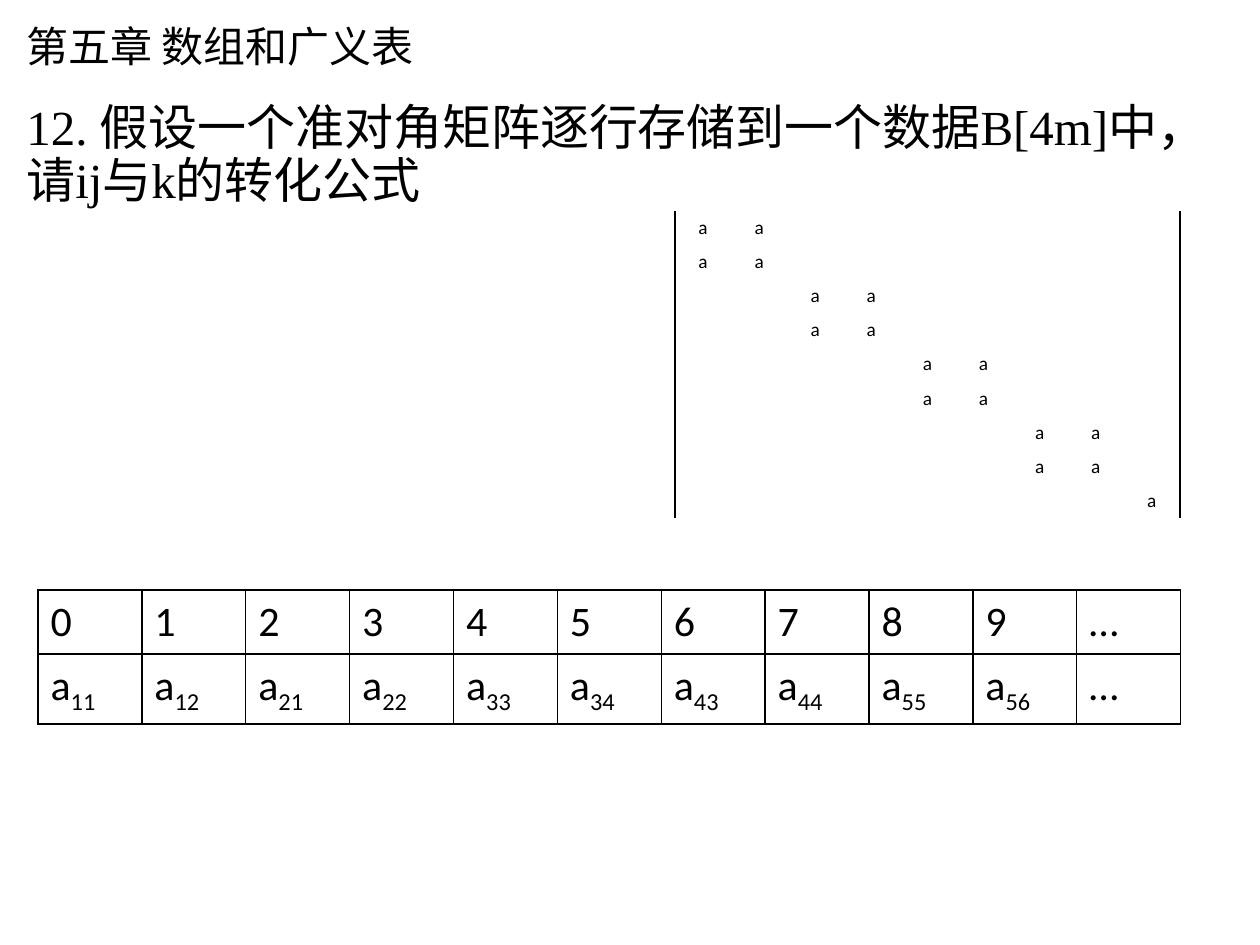
"""Build the slide on storing a block-diagonal matrix row by row in an array."""
import dataclasses

import lxml.etree
import pptx
import pptx.dml.color
import pptx.enum.text
import pptx.oxml.ns
import pptx.util


@dataclasses.dataclass(frozen=True)
class Theme:
    ink: pptx.dml.color.RGBColor = pptx.dml.color.RGBColor(0, 0, 0)
    heading_font: str = "Times New Roman"
    table_font: str = "Calibri"
    title_size: int = 24
    question_size: int = 28
    matrix_size: int = 11
    storage_size: int = 24
    line_width: int = 1


theme = Theme()
PX = 914400 // 126
qn = pptx.oxml.ns.qn


def add_run(paragraph, text, font, size, subscript=False):
    run = paragraph.add_run()
    run.text = text
    run.font.name = font
    run.font.size = pptx.util.Pt(size)
    run.font.color.rgb = theme.ink
    if subscript:
        run.font._element.set("baseline", "-25000")


def style_cell(cell, sides):
    cell.fill.background()
    properties = cell._tc.get_or_add_tcPr()
    for position, side in enumerate("LRTB"):
        border = lxml.etree.Element(qn(f"a:ln{side}"), w=str(pptx.util.Pt(theme.line_width)))
        if side in sides:
            fill = lxml.etree.SubElement(border, qn("a:solidFill"))
            lxml.etree.SubElement(fill, qn("a:srgbClr"), val=str(theme.ink))
        else:
            lxml.etree.SubElement(border, qn("a:noFill"))
        properties.insert(position, border)


deck = pptx.Presentation()
deck.slide_width = pptx.util.Inches(10)
deck.slide_height = pptx.util.Inches(7.5)
slide = deck.slides.add_slide(deck.slide_layouts[5])

title = slide.shapes.title
title.left, title.top, title.width, title.height = [v * PX for v in (14, -43, 1086, 183)]
question = slide.shapes.add_textbox(14 * PX, 97 * PX, 1223 * PX, 816 * PX)

for holder, text, size, anchor in (
    (title, "第五章 数组和广义表", theme.title_size, pptx.enum.text.MSO_ANCHOR.MIDDLE),
    (question, "12. 假设一个准对角矩阵逐行存储到一个数据B[4m]中，请ij与k的转化公式",
     theme.question_size, pptx.enum.text.MSO_ANCHOR.TOP),
):
    frame = holder.text_frame
    frame.word_wrap = True
    frame.auto_size = pptx.enum.text.MSO_AUTO_SIZE.NONE
    frame.vertical_anchor = anchor
    paragraph = frame.paragraphs[0]
    paragraph.alignment = pptx.enum.text.PP_ALIGN.LEFT
    paragraph.line_spacing = 0.9
    add_run(paragraph, text, theme.heading_font, size)

order = 9
matrix = slide.shapes.add_table(order, order, 675 * PX, 211 * PX, 505 * PX, 307 * PX).table
matrix.first_row = matrix.horz_banding = False
for row in range(order):
    for column in range(order):
        cell = matrix.cell(row, column)
        style_cell(cell, {0: "L", order - 1: "R"}.get(column, ""))
        cell.margin_left = cell.margin_right = 8 * PX
        cell.margin_top = cell.margin_bottom = 4 * PX
        cell.vertical_anchor = pptx.enum.text.MSO_ANCHOR.MIDDLE
        paragraph = cell.text_frame.paragraphs[0]
        paragraph.alignment = pptx.enum.text.PP_ALIGN.CENTER
        if row // 2 == column // 2:
            add_run(paragraph, "a", theme.table_font, theme.matrix_size)
        else:
            lxml.etree.SubElement(paragraph._p, qn("a:endParaRPr"), sz=str(theme.matrix_size * 100))

subscripts = ["11", "12", "21", "22", "33", "34", "43", "44", "55", "56"]
columns = len(subscripts) + 1
storage = slide.shapes.add_table(2, columns, 38 * PX, 590 * PX, 1143 * PX, 134 * PX).table
storage.first_row = storage.horz_banding = False
storage.rows[0].height = 64 * PX
storage.rows[1].height = 70 * PX
for column in range(columns):
    index_cell, element_cell = storage.cell(0, column), storage.cell(1, column)
    for cell in (index_cell, element_cell):
        style_cell(cell, "LRTB")
    index_text = index_cell.text_frame.paragraphs[0]
    element_text = element_cell.text_frame.paragraphs[0]
    if column < len(subscripts):
        add_run(index_text, str(column), theme.table_font, theme.storage_size)
        add_run(element_text, "a", theme.table_font, theme.storage_size)
        add_run(element_text, subscripts[column], theme.table_font, theme.storage_size, True)
    else:
        for paragraph in (index_text, element_text):
            add_run(paragraph, "…", theme.table_font, theme.storage_size)

deck.save("out.pptx")
